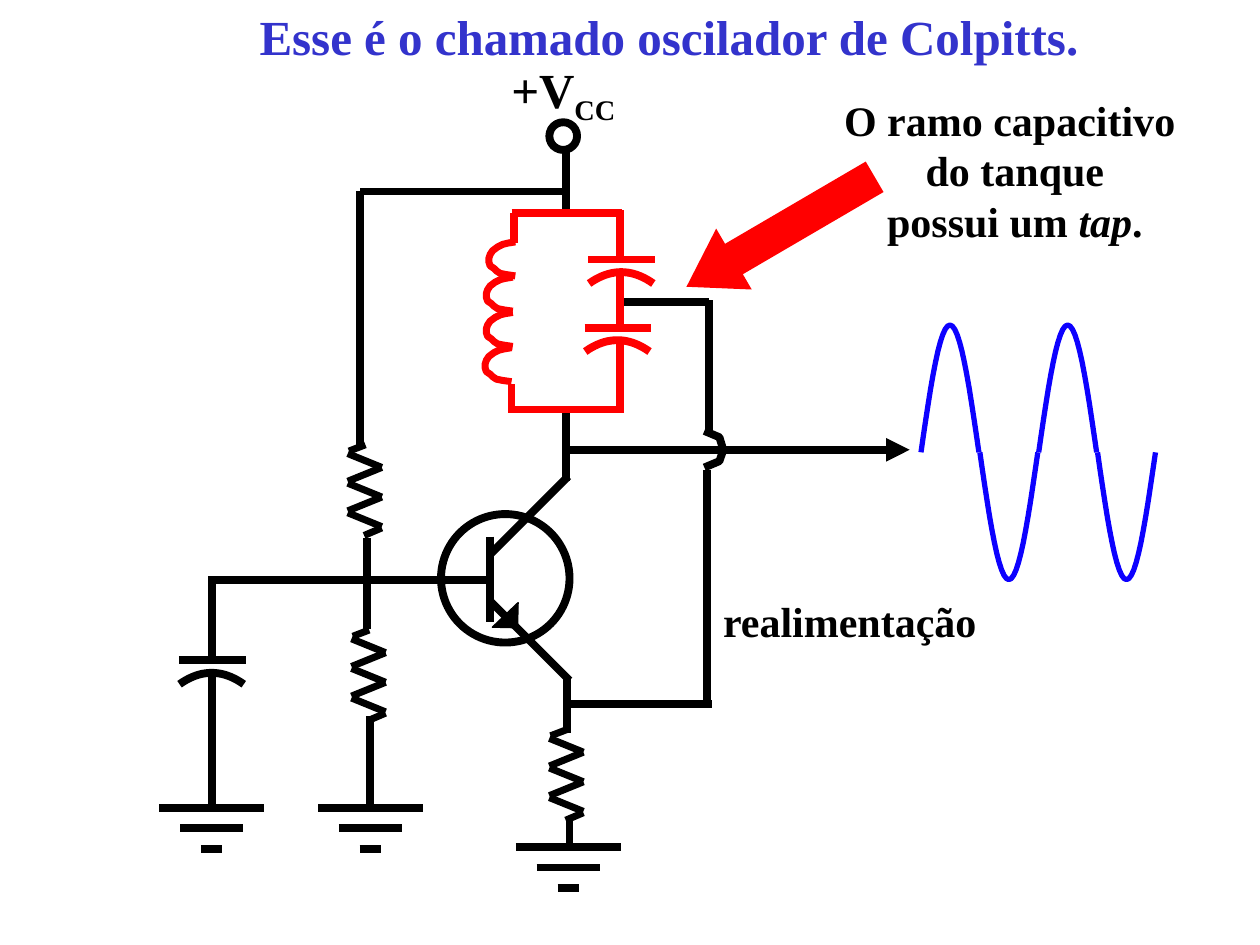
import math

import pptx
import pptx.dml.color
import pptx.enum.shapes
import pptx.enum.text
import pptx.oxml
import pptx.oxml.ns
import pptx.util

BLACK = pptx.dml.color.RGBColor(0x00, 0x00, 0x00)
RED = pptx.dml.color.RGBColor(0xFF, 0x00, 0x00)
WAVE_BLUE = pptx.dml.color.RGBColor(0x0D, 0x01, 0xFF)
TITLE_BLUE = pptx.dml.color.RGBColor(0x33, 0x33, 0xCC)
FONT = "Times New Roman"
Shape = pptx.enum.shapes.MSO_SHAPE
Align = pptx.enum.text.PP_ALIGN


# Drawing helpers
def inches(*lengths):
    return [pptx.util.Inches(length) for length in lengths]


def add_wire(shapes, x1, y1, x2, y2, color=BLACK, width=4.5, arrow=False):
    wire = shapes.add_connector(pptx.enum.shapes.MSO_CONNECTOR.STRAIGHT,
                                *inches(x1, y1, x2, y2))
    wire.line.color.rgb = color
    wire.line.width = pptx.util.Pt(width)
    properties = wire._element.spPr
    namespace = pptx.oxml.ns.nsdecls("a")
    if arrow:
        line = properties.find(pptx.oxml.ns.qn("a:ln"))
        line.append(pptx.oxml.parse_xml(f'<a:tailEnd {namespace} type="triangle"/>'))
    properties.append(pptx.oxml.parse_xml(f"<a:effectLst {namespace}/>"))


def add_curve(shapes, points, color=BLACK, width=4.5):
    points = [inches(x, y) for x, y in points]
    builder = shapes.build_freeform(*points[0])
    builder.add_line_segments(points[1:], close=False)
    curve = builder.convert_to_shape()
    curve.shadow.inherit = False
    curve.fill.background()
    curve.line.color.rgb = color
    curve.line.width = pptx.util.Pt(width)


def add_preset(shapes, kind, left, top, width, height, fill=None, line=None,
               line_width=4.5, rotation=0):
    shape = shapes.add_shape(kind, *inches(left, top, width, height))
    shape.shadow.inherit = False
    shape.rotation = rotation
    if fill is None:
        shape.fill.background()
    else:
        shape.fill.solid()
        shape.fill.fore_color.rgb = fill
    if line is None:
        shape.line.fill.background()
    else:
        shape.line.color.rgb = line
        shape.line.width = pptx.util.Pt(line_width)
    return shape


def write_text(shape, lines, size=24, color=BLACK, alignment=Align.LEFT):
    """Each line is a list of (text, style), style being "", "italic" or "subscript"."""
    frame = shape.text_frame
    frame.word_wrap = False
    frame.auto_size = pptx.enum.text.MSO_AUTO_SIZE.SHAPE_TO_FIT_TEXT
    frame.vertical_anchor = pptx.enum.text.MSO_ANCHOR.TOP
    for index, line in enumerate(lines):
        paragraph = frame.add_paragraph() if index else frame.paragraphs[0]
        paragraph.alignment = alignment
        for text, style in line:
            run = paragraph.add_run()
            run.text = text
            run.font.name = FONT
            run.font.size = pptx.util.Pt(size)
            run.font.bold = True
            run.font.color.rgb = color
            if style == "italic":
                run.font.italic = True
            elif style == "subscript":
                run._r.get_or_add_rPr().set("baseline", "-25000")


def add_label(slide, left, top, width, height, lines, **text_format):
    box = slide.shapes.add_textbox(*inches(left, top, width, height))
    write_text(box, lines, **text_format)


# Circuit components
def add_resistor(slide, left, top):
    shapes = slide.shapes.add_group_shape().shapes
    right = left + 0.27
    add_wire(shapes, left + 0.14, top, left + 0.01, top + 0.05, width=4)
    for row in range(3):
        y = top + 0.07 + 0.235 * row
        add_wire(shapes, left, y, right, y + 0.11, width=4)
        if row < 2:
            add_wire(shapes, right, y + 0.11, left, y + 0.22, width=4)
    add_wire(shapes, right, top + 0.66, left + 0.13, top + 0.72, width=4)


def add_ground(slide, center, top):
    shapes = slide.shapes.add_group_shape().shapes
    for row, width in enumerate((0.83, 0.5, 0.17)):
        y = top + 0.165 * row
        add_wire(shapes, center - width / 2, y, center + width / 2, y)


def add_capacitor(shapes, left, top, color=BLACK):
    add_wire(shapes, left, top, left + 0.53, top, color)
    steps = [step / 10 for step in range(-10, 11)]
    add_curve(shapes, [(left + 0.26 + 0.255 * t, top + 0.1 + 0.09 * t * t) for t in steps], color)


def add_transistor(slide, left, top):
    shapes = slide.shapes
    add_wire(shapes, left + 0.4, top + 0.7, left + 1.02, top + 1.32)
    add_preset(shapes, Shape.RIGHT_TRIANGLE, left + 0.41, top + 0.7, 0.2, 0.2,
               fill=BLACK, line=BLACK, line_width=0.75, rotation=271.3)
    add_wire(shapes, left + 0.39, top + 0.32, left + 1.01, top - 0.3)
    add_wire(shapes, left + 0.39, top + 0.18, left + 0.39, top + 0.86)
    add_preset(shapes, Shape.OVAL, left, top, 1.02, 1.02, line=BLACK)


def add_tank(slide, left, top):
    shapes = slide.shapes.add_group_shape().shapes
    coil = [(0, 0), (-0.06, 0.01), (-0.1, 0.02), (-0.14, 0.04), (-0.18, 0.07),
            (-0.2, 0.1), (-0.21, 0.13), (-0.21, 0.16), (-0.2, 0.19), (-0.17, 0.21),
            (-0.15, 0.23), (-0.12, 0.25), (-0.07, 0.26), (0, 0.27)]
    for turn, shift in enumerate((0.03, 0.01, 0.01, 0)):
        add_curve(shapes, [(left + shift + x, top + 0.23 + 0.28 * turn + y) for x, y in coil],
                  RED, 4)
    branch = left + 0.86
    for x1, y1, x2, y2 in (
        (left, 0, left + 0.88, 0),
        (left + 0.02, 0, left + 0.02, 0.24),
        (left, 1.36, left, 1.59),
        (left, 1.56, left + 0.85, 1.56),
        (branch, -0.02, branch, 0.38),
        (branch, 0.49, branch, 0.9),
        (branch, 1, branch, 1.59),
    ):
        add_wire(shapes, x1, top + y1, x2, top + y2, RED)
    add_capacitor(shapes, left + 0.61, top + 0.37, RED)
    add_capacitor(shapes, left + 0.58, top + 0.91, RED)


def add_output_wave(slide, left, middle):
    shapes = slide.shapes.add_group_shape().shapes
    for half in range(4):
        start = left + 0.467 * half
        sign = -1 if half % 2 == 0 else 1
        add_curve(shapes, [(start + 0.46 * step / 24,
                            middle + sign * 1.01 * math.sin(math.pi * step / 24))
                           for step in range(25)], WAVE_BLUE, 3)


def add_wiring(slide):
    shapes = slide.shapes
    for ends in (
        # supply and bias divider
        (4.49, 1.68, 4.49, 1.21), (2.86, 1.52, 4.48, 1.52), (2.86, 3.53, 2.86, 1.52),
        (2.91, 4.99, 2.91, 4.27), (2.94, 6.39, 2.94, 5.68),
        # base and its capacitor
        (3.88, 4.6, 1.65, 4.6), (1.68, 5.24, 1.68, 4.63), (1.68, 5.36, 1.68, 6.4),
        # collector and emitter
        (4.49, 3.25, 4.49, 3.82), (4.5, 5.39, 4.5, 5.82), (4.52, 6.72, 4.52, 6.52),
        # feedback from the tap to the emitter
        (4.89, 2.4, 5.63, 2.4), (5.63, 3.45, 5.63, 2.38),
        (5.61, 3.73, 5.61, 5.6), (4.5, 5.59, 5.65, 5.59),
    ):
        add_wire(shapes, *ends)
    add_wire(shapes, 4.48, 3.57, 7.22, 3.57, arrow=True)
    # hop over the output wire
    add_curve(shapes, [(5.59, 3.42), (5.71, 3.47), (5.74, 3.57), (5.71, 3.66), (5.59, 3.71)])
    add_preset(shapes, Shape.OVAL, 4.36, 0.97, 0.22, 0.22, line=BLACK)


def add_title(slide, left, top, width, height):
    title = slide.shapes.title
    title.left, title.top, title.width, title.height = inches(left, top, width, height)
    write_text(title, [[("Esse é o chamado oscilador de Colpitts.", "")]],
               size=28, color=TITLE_BLUE)


def main():
    presentation = pptx.Presentation()
    presentation.slide_width, presentation.slide_height = inches(10, 7.5)
    slide = presentation.slides.add_slide(presentation.slide_layouts[5])
    add_title(slide, 1.96, 0, 6.7, 0.57)

    # Circuit
    add_preset(slide.shapes, Shape.LEFT_ARROW, 5.33, 1.56, 1.73, 0.56, fill=RED,
               rotation=329.7).adjustments[1] = 0.78
    add_wiring(slide)
    add_transistor(slide, 3.5, 4.08)
    for left, top in ((2.76, 3.53), (2.79, 5), (4.36, 5.79)):
        add_resistor(slide, left, top)
    for center, top in ((1.68, 6.41), (2.94, 6.41), (4.51, 6.72)):
        add_ground(slide, center, top)
    add_capacitor(slide.shapes.add_group_shape().shapes, 1.42, 5.24)
    add_tank(slide, 4.06, 1.69)
    add_output_wave(slide, 7.31, 3.59)

    # Labels
    add_label(slide, 3.96, 0.42, 1.06, 0.63, [[("+V", ""), ("CC", "subscript")]], size=28)
    add_label(slide, 6.6, 0.7, 2.91, 1.3,
              [[("O ramo capacitivo ", "")], [("do tanque", "")],
               [("possui um ", ""), ("tap", "italic"), (".", "")]], alignment=Align.CENTER)
    add_label(slide, 5.64, 4.68, 2.22, 0.5, [[("realimentação", "")]])
    presentation.save("out.pptx")


if __name__ == "__main__":
    main()
